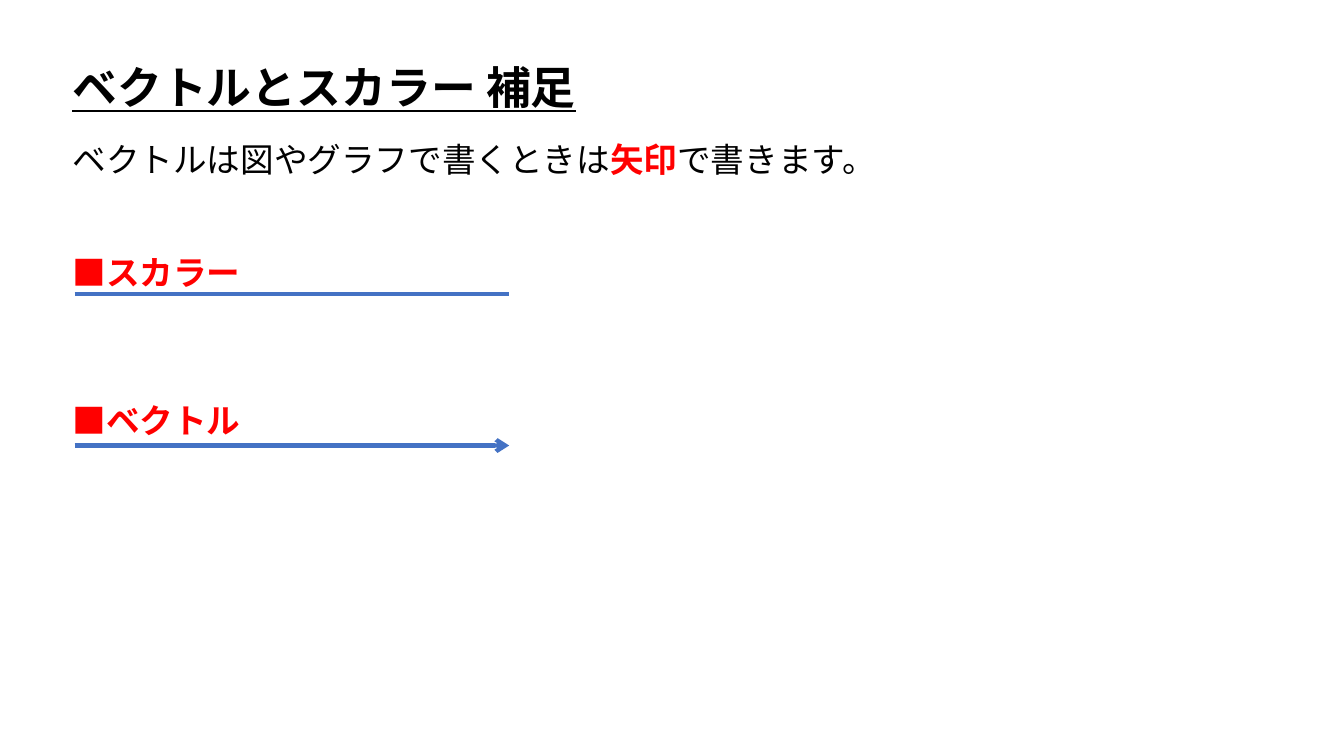
from typing import NamedTuple

from lxml import etree
from pptx import Presentation
from pptx.dml.color import RGBColor
from pptx.enum.lang import MSO_LANGUAGE_ID
from pptx.enum.shapes import MSO_CONNECTOR
from pptx.enum.text import MSO_AUTO_SIZE
from pptx.oxml.ns import qn
from pptx.util import Inches, Pt

STRAIGHT = MSO_CONNECTOR.STRAIGHT
FIT_SHAPE = MSO_AUTO_SIZE.SHAPE_TO_FIT_TEXT
JAPANESE = MSO_LANGUAGE_ID.JAPANESE

FONT = "Noto Sans CJK JP"
BLACK, RED, BLUE = "000000", "FF0000", "4472C4"
TEXT_LEFT = 0.62
LINE_LEFT, LINE_RIGHT = 0.74, 5.05


class Piece(NamedTuple):
    text: str
    color: str = BLACK
    bold: bool = False
    underline: bool = False


class Label(NamedTuple):
    top: float
    width: float
    height: float
    size: int
    pieces: tuple[Piece, ...]


class Rule(NamedTuple):
    y: float
    arrow: bool


LABELS = (
    Label(0.54, 5.27, 0.64, 32, (Piece("ベクトルとスカラー 補足", BLACK, True, True),)),
    Label(1.33, 8.28, 0.5, 24, (
        Piece("ベクトルは図やグラフで書くときは"),
        Piece("矢印", RED, True),
        Piece("で書きます。"),
    )),
    Label(2.45, 1.88, 0.5, 24, (Piece("■スカラー", RED, True),)),
    Label(3.92, 1.88, 0.5, 24, (Piece("■ベクトル", RED, True),)),
)
RULES = (Rule(2.92, False), Rule(4.42, True))


def rgb(value: str) -> RGBColor:
    return RGBColor.from_string(value)


def add_label(s, label: Label) -> None:
    sp = s.shapes.add_textbox(
        Inches(TEXT_LEFT), Inches(label.top), Inches(label.width), Inches(label.height)
    )
    tf = sp.text_frame
    tf.word_wrap = False
    tf.auto_size = FIT_SHAPE
    p = tf.paragraphs[0]
    for piece in label.pieces:
        r = p.add_run()
        r.text = piece.text
        font = r.font
        font.size = Pt(label.size)
        font.bold = piece.bold
        font.underline = piece.underline
        font.color.rgb = rgb(piece.color)
        font.name = FONT
        font.language_id = JAPANESE
        etree.SubElement(r._r.get_or_add_rPr(), qn("a:ea"), typeface=FONT)


def add_rule(s, rule: Rule) -> None:
    y = Inches(rule.y)
    cxn = s.shapes.add_connector(STRAIGHT, Inches(LINE_LEFT), y, Inches(LINE_RIGHT), y)
    cxn.line.color.rgb = rgb(BLUE)
    cxn.line.width = Pt(3)
    if rule.arrow:
        etree.SubElement(cxn.line._get_or_add_ln(), qn("a:tailEnd"), type="arrow")
    etree.SubElement(cxn._element.spPr, qn("a:effectLst"))


def main() -> None:
    prs = Presentation()
    prs.slide_width = Inches(13.33)
    prs.slide_height = Inches(7.5)
    s = prs.slides.add_slide(prs.slide_layouts[6])
    for rule in RULES:
        add_rule(s, rule)
    for label in LABELS:
        add_label(s, label)
    prs.save("out.pptx")


if __name__ == "__main__":
    main()
